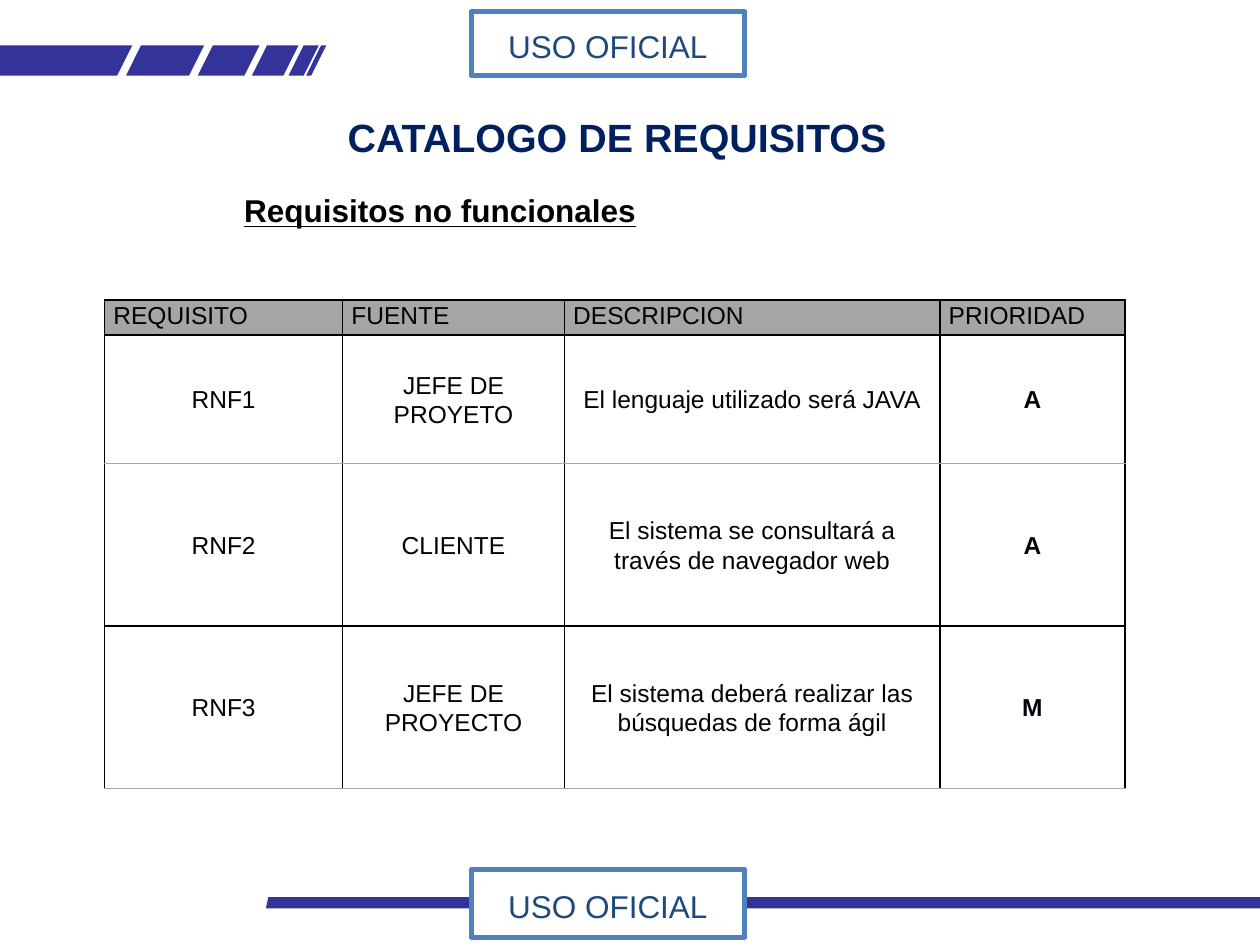
"""Build the slide that lists the non-functional requirements."""
from lxml import etree
from pptx import Presentation
from pptx import util as u
from pptx.dml.color import RGBColor
from pptx.enum import shapes, text
from pptx.oxml.ns import qn

THEME = {
    "font": "Arial", "band": "333399", "frame": "4F81BD", "label": "1F497D",
    "title": "002060", "black": "000000", "ink": "000009", "grey": "A5A5A5",
    "white": "FFFFFF", "title_size": 22.5, "label_size": 18, "cell_size": 14,
}
CENTER, JUSTIFY = text.PP_ALIGN.CENTER, text.PP_ALIGN.JUSTIFY
MIDDLE, TOP = text.MSO_ANCHOR.MIDDLE, text.MSO_ANCHOR.TOP


def write(paragraph, words, size, color, align=None, **styles):
    run = paragraph.add_run()
    run.text = words
    paragraph.alignment = align
    formats = {"name": THEME["font"], "size": u.Pt(THEME[size]), **styles}
    for name, value in formats.items():
        setattr(run.font, name, value)
    run.font.color.rgb = RGBColor.from_string(THEME[color])


def add_band(slide, points):
    corners = [(u.Inches(x), u.Inches(y)) for x, y in points]
    builder = slide.shapes.build_freeform(*corners[0], scale=1.0)
    builder.add_line_segments(corners[1:], close=True)
    shape = builder.convert_to_shape()
    shape.shadow.inherit = False
    shape.fill.solid()
    shape.fill.fore_color.rgb = RGBColor.from_string(THEME["band"])
    shape.line.fill.background()


presentation = Presentation()
presentation.slide_width, presentation.slide_height = u.Inches(10), u.Inches(7.5)
slide = presentation.slides.add_slide(presentation.slide_layouts[6])

band_top, band_bottom, slant = 0.36, 0.6, 0.12
add_band(slide, [(0, band_top), (1.05, band_top), (0.93, band_bottom), (0, band_bottom)])
for left, right in [(1, 1.5), (1.57, 1.94), (2, 2.25), (2.29, 2.41), (2.43, 2.47)]:
    add_band(slide, [(left + slant, band_top), (left, band_bottom),
                     (right, band_bottom), (right + slant, band_top)])
add_band(slide, [(2.11, 7.21), (10, 7.21), (10, 7.12), (2.13, 7.12)])

for top, height in [(6.9, 0.54), (0.09, 0.51)]:
    label = slide.shapes.add_shape(shapes.MSO_SHAPE.RECTANGLE, u.Inches(3.74),
                                   u.Inches(top), u.Inches(2.17), u.Inches(height))
    label.shadow.inherit = False
    label.fill.solid()
    label.fill.fore_color.rgb = RGBColor.from_string(THEME["white"])
    label.line.color.rgb = RGBColor.from_string(THEME["frame"])
    label.line.width = u.Pt(3)
    label.text_frame.margin_top = u.Inches(0.09)
    label.text_frame.vertical_anchor = MIDDLE
    write(label.text_frame.paragraphs[0], "USO OFICIAL", "label_size", "label", CENTER)

headings = [
    ((2.16, 0.87, 5.48, 0.41), (0.06, 0.03), "CATALOGO DE REQUISITOS",
     "title_size", "title", CENTER, {"bold": True}),
    ((1.84, 1.47, 5.16, 0.4), (0.1, 0.05), "Requisitos no funcionales",
     "label_size", "black", None, {"bold": True, "underline": True}),
]
for place, (side, edge), words, size, color, align, styles in headings:
    frame = slide.shapes.add_textbox(*map(u.Inches, place)).text_frame
    frame.word_wrap = True
    frame.margin_left = frame.margin_right = u.Inches(side)
    frame.margin_top = frame.margin_bottom = u.Inches(edge)
    write(frame.paragraphs[0], words, size, color, align, **styles)

rows = [
    ("REQUISITO", "FUENTE", "DESCRIPCION", "PRIORIDAD"),
    ("RNF1", "JEFE DE PROYETO", "El lenguaje utilizado será JAVA", "A"),
    ("RNF2", "CLIENTE", "El sistema se consultará a través de navegador web", "A"),
    ("RNF3", "JEFE DE PROYECTO", "El sistema deberá realizar las búsquedas de forma ágil", "M"),
]
column_widths, row_heights = [1.89, 1.76, 2.98, 1.47], [0.28, 1.02, 1.29, 1.29]
bottom_lines = ["black", "grey", "black", "grey"]
table = slide.shapes.add_table(len(rows), len(column_widths), u.Inches(0.83), u.Inches(2.38),
                               u.Inches(sum(column_widths)), u.Inches(sum(row_heights))).table
table.horz_banding = False
for column, width in zip(table.columns, column_widths):
    column.width = u.Inches(width)
for row, height in zip(table.rows, row_heights):
    row.height = u.Inches(height)

for row_index, row in enumerate(rows):
    header = row_index == 0
    borders = {"lnL": "black", "lnR": "black",
               "lnT": "black" if header else bottom_lines[row_index - 1],
               "lnB": bottom_lines[row_index]}
    for column_index, words in enumerate(row):
        cell = table.cell(row_index, column_index)
        formats = {"margin_left": u.Inches(0.07), "margin_right": u.Inches(0.07),
                   "margin_top": 0, "margin_bottom": 0,
                   "vertical_anchor": TOP if header else MIDDLE}
        for name, value in formats.items():
            setattr(cell, name, value)
        properties = cell._tc.get_or_add_tcPr()
        for side, color in borders.items():
            line = etree.SubElement(properties, qn(f"a:{side}"), w=str(u.Pt(1)))
            fill = etree.SubElement(line, qn("a:solidFill"))
            etree.SubElement(fill, qn("a:srgbClr"), val=THEME[color])
        cell.fill.solid()
        cell.fill.fore_color.rgb = RGBColor.from_string(THEME["grey" if header else "white"])
        paragraph = cell.text_frame.paragraphs[0]
        paragraph.line_spacing = 1.07
        write(paragraph, words, "cell_size", "ink", JUSTIFY if header else CENTER,
              bold=not header and column_index == 3)

presentation.save("out.pptx")
